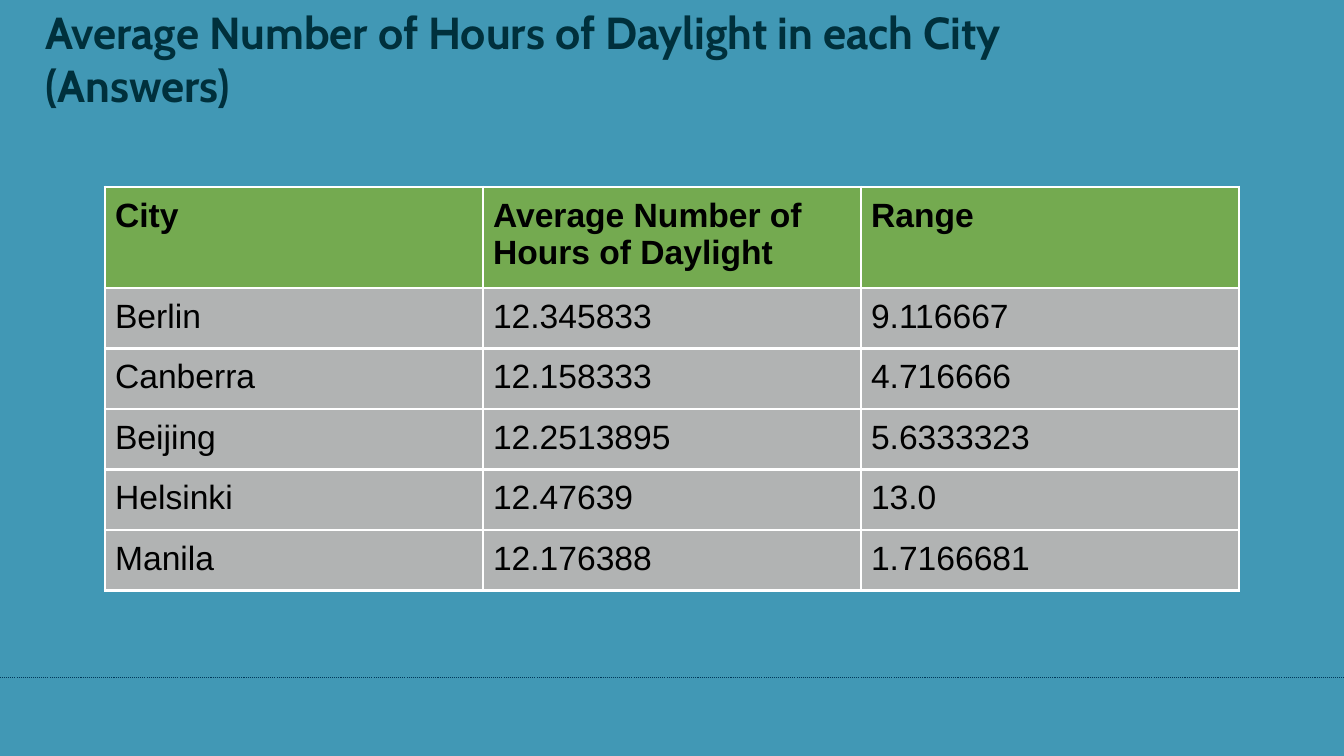
from pptx import Presentation
from pptx.dml.color import RGBColor
from pptx.enum.dml import MSO_LINE
from pptx.enum.shapes import MSO_CONNECTOR as Link
from pptx.enum.text import MSO_ANCHOR as Anchor
from pptx.oxml import parse_xml
from pptx.oxml.ns import nsdecls
from pptx.util import Pt


def paint(fill, color):
    fill.solid()
    fill.fore_color.rgb = RGBColor.from_string(color)


def style(font, name, size, color, bold):
    font.name = name
    font.size = Pt(size)
    font.bold = bold
    paint(font.fill, color)


deck = Presentation()
deck.slide_width = Pt(960)
deck.slide_height = Pt(540)
slide = deck.slides.add_slide(deck.slide_layouts[6])
paint(slide.background.fill, "4198B5")

rule = slide.shapes.add_connector(Link.STRAIGHT, 0, Pt(484), Pt(960), Pt(484))
paint(rule.line.fill, "00395A")
rule.line.width = Pt(0.75)
rule.line.dash_style = MSO_LINE.ROUND_DOT
rule._element.spPr.append(parse_xml(f"<a:effectLst {nsdecls('a')}/>"))

title = slide.shapes.add_textbox(Pt(25.2), Pt(-3.6), Pt(872.6), Pt(90))
frame = title.text_frame
frame.word_wrap = True
frame.vertical_anchor = Anchor.MIDDLE
frame.text = "Average Number of Hours of Daylight in each City\n(Answers)"
for para in frame.paragraphs:
    style(para.font, "Cabin", 32, "00303C", True)

rows = [
    ("City", "Average Number of Hours of Daylight", "Range"),
    ("Berlin", "12.345833", "9.116667"),
    ("Canberra", "12.158333", "4.716666"),
    ("Beijing", "12.2513895", "5.6333323"),
    ("Helsinki", "12.47639", "13.0"),
    ("Manila", "12.176388", "1.7166681"),
]
table = slide.shapes.add_table(
    len(rows), 3, Pt(75), Pt(133.6), Pt(810), Pt(273)
).table
for col in table.columns:
    col.width = Pt(270)

for r, row in enumerate(rows):
    head = r == 0
    table.rows[r].height = Pt(68 if head else 41)
    for c, text in enumerate(row):
        cell = table.cell(r, c)
        cell.text = text
        cell.margin_left = cell.margin_right = Pt(7.2)
        cell.margin_top = cell.margin_bottom = Pt(7.2)
        style(cell.text_frame.paragraphs[0].font, "Arial", 24, "000000", head)
        props = cell._tc.get_or_add_tcPr()
        for side in "LRTB":
            props.append(parse_xml(
                f'<a:ln{side} {nsdecls("a")} w="{Pt(2.25)}"><a:solidFill>'
                f'<a:srgbClr val="FFFFFF"/></a:solidFill></a:ln{side}>'
            ))
        paint(cell.fill, "74AA50" if head else "B1B3B3")

deck.save("out.pptx")
